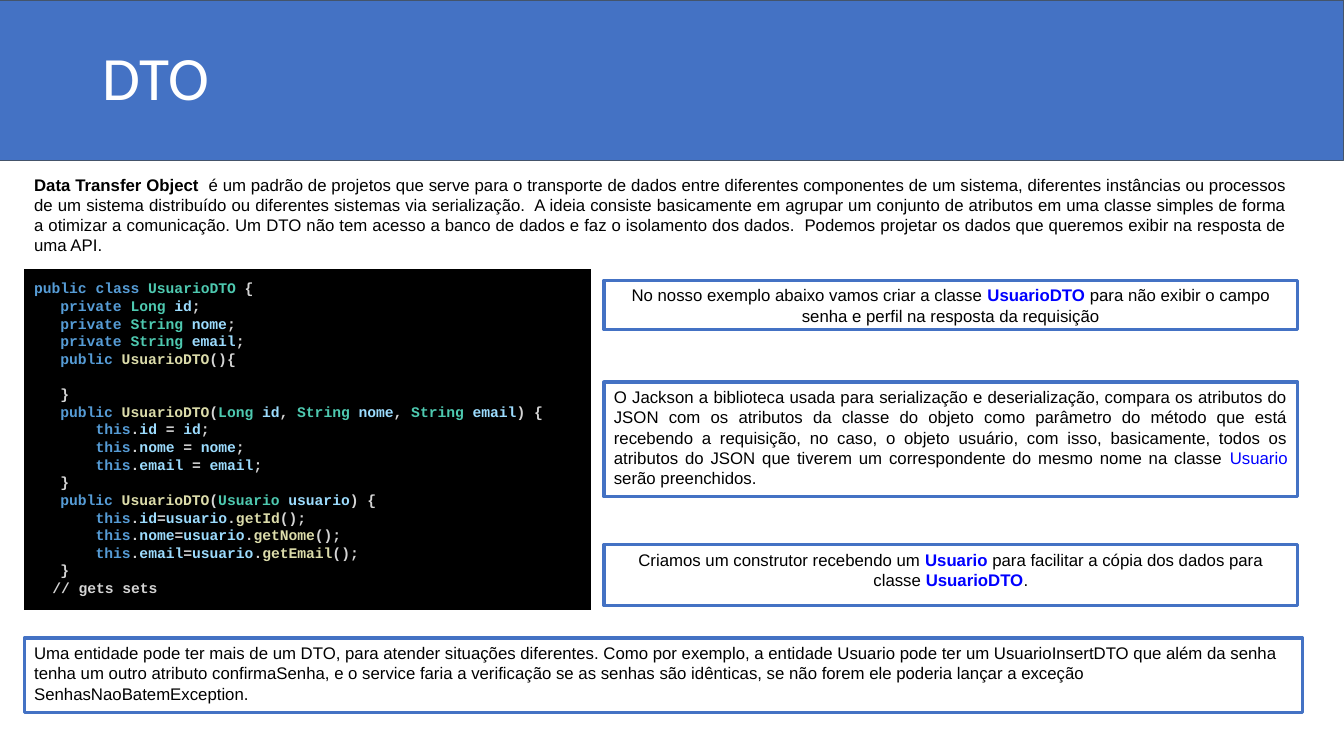
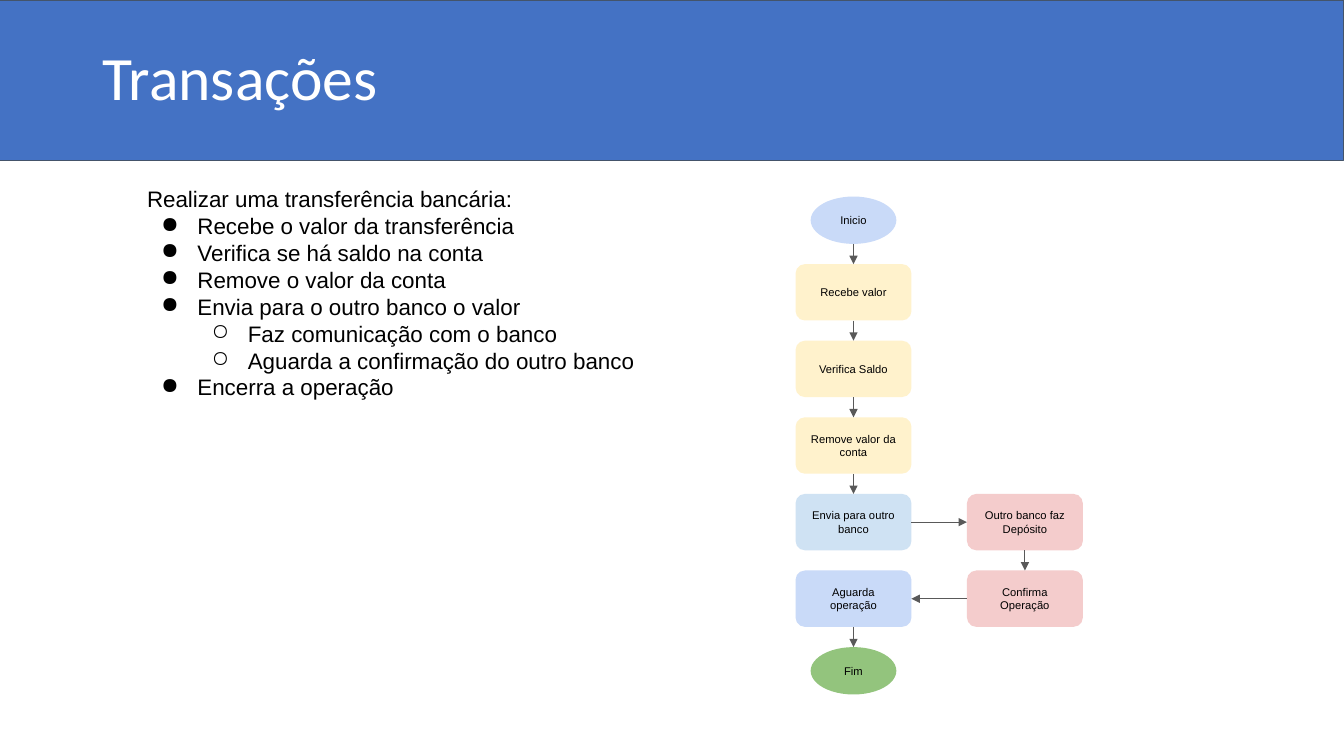
import itertools
from dataclasses import dataclass
from typing import Any

import lxml.etree
import pptx
import pptx.dml.color
import pptx.enum.shapes
import pptx.enum.text
import pptx.oxml.ns
import pptx.util

Shape = pptx.enum.shapes.MSO_SHAPE
Align = pptx.enum.text.PP_ALIGN
Anchor = pptx.enum.text.MSO_ANCHOR

EMU_PER_PX = 9144  # 100 px to the inch
COLORS = {
    "white": "FFFFFF", "black": "000000", "blue": "4472C4", "band edge": "44546A",
    "class name": "0000FF", "arrow": "595959",
    "keyword": "569CD6", "type": "4EC9B0", "variable": "9CDCFE",
    "method": "DCDCAA", "plain": "D4D4D4",
    "lilac": "C9DAF8", "cream": "FFF2CC", "sky": "CFE2F3", "rose": "F4CCCC", "green": "93C47D",
}
TOP, LEFT, BOTTOM, RIGHT = range(4)


@dataclass
class Run:
    text: str
    color: str = "black"
    bold: bool = False


@dataclass
class Paragraph:
    runs: list[Run]
    align: Any = Align.LEFT
    indent: int = 0
    bullet: str = ""
    level: int = 0
    before: float = 0
    spacing: float = 1.0


@dataclass
class Box:
    at: tuple[int, int, int, int]
    paragraphs: list[Paragraph]
    size: float = 12
    font: str = "Arial"
    fill: str = ""
    line: str = ""
    line_width: float = 2.25
    kind: Any = Shape.RECTANGLE
    anchor: Any = Anchor.TOP
    margin: int = 5


@dataclass
class Step:
    text: str
    color: str
    top: int
    column: int = 0
    terminal: bool = False


# Shared helpers
def px(length: float) -> int:
    return round(length * EMU_PER_PX)


def rgb(name: str) -> pptx.dml.color.RGBColor:
    return pptx.dml.color.RGBColor.from_string(COLORS[name])


def assign(target: Any, values: dict[str, Any]) -> None:
    for name, value in values.items():
        setattr(target, name, value)


def add_child(parent: Any, tag: str, **attributes: str) -> Any:
    return lxml.etree.SubElement(parent, pptx.oxml.ns.qn(tag), attributes)


def write_paragraph(target: Any, content: Paragraph, box: Box) -> None:
    assign(target, {"alignment": content.align, "level": content.level,
                    "line_spacing": content.spacing,
                    "space_before": pptx.util.Pt(content.before)})
    properties = target._p.get_or_add_pPr()
    properties.set("marL", str(px(content.indent)))
    if content.bullet:
        properties.set("indent", str(px(-36)))
        add_child(add_child(properties, "a:buClr"), "a:srgbClr", val=COLORS["black"])
        add_child(properties, "a:buChar", char=content.bullet)
    for piece in content.runs:
        run = target.add_run()
        run.text = piece.text
        assign(run.font, {"size": pptx.util.Pt(box.size), "name": box.font, "bold": piece.bold})
        run.font.color.rgb = rgb(piece.color)


def draw_box(slide: Any, box: Box) -> Any:
    place = [px(length) for length in box.at]
    if box.fill:
        shape = slide.shapes.add_shape(box.kind, *place)
        shape.shadow.inherit = False
        shape.fill.solid()
        shape.fill.fore_color.rgb = rgb(box.fill)
        if box.line:
            shape.line.color.rgb = rgb(box.line)
            shape.line.width = pptx.util.Pt(box.line_width)
        else:
            shape.line.fill.background()
    else:
        shape = slide.shapes.add_textbox(*place)
    frame = shape.text_frame
    assign(frame, {"word_wrap": True, "vertical_anchor": box.anchor,
                   "margin_left": px(10), "margin_right": px(10),
                   "margin_top": px(box.margin), "margin_bottom": px(box.margin)})
    for index, content in enumerate(box.paragraphs):
        target = frame.add_paragraph() if index else frame.paragraphs[0]
        write_paragraph(target, content, box)
    return shape


def add_titled_slide(deck: Any, title: str) -> Any:
    slide = deck.slides.add_slide(deck.slide_layouts[6])
    draw_box(slide, Box((0, 0, 1333, 159), [], fill="blue", line="band edge", line_width=0.75))
    heading = Paragraph([Run(title, "white")], spacing=0.9)
    draw_box(slide, Box((92, 7, 1150, 145), [heading], 44, "Calibri", anchor=Anchor.MIDDLE))
    return slide


# Code listing
CODE = """\
public class UsuarioDTO {
   private Long id;
   private String nome;
   private String email;
   public UsuarioDTO(){

   }
   public UsuarioDTO(Long id, String nome, String email) {
       this.id = id;
       this.nome = nome;
       this.email = email;
   }
   public UsuarioDTO(Usuario usuario) {
       this.id=usuario.getId();
       this.nome=usuario.getNome();
       this.email=usuario.getEmail();
   }
  // gets sets"""
KEYWORDS = {"public", "private", "class", "this"}
CODE_SIZE = 10.5
CODE_CHAR_WIDTH = 8.75
CODE_LINE_HEIGHT = 12.6


def token_color(token: str, following: str) -> str:
    if not token.isalnum():
        return "plain"
    if token in KEYWORDS:
        return "keyword"
    if following.startswith("("):
        return "method"
    return "type" if token[0].isupper() else "variable"


def highlight(line: str) -> list[Run]:
    if line.startswith("//"):
        return [Run(line, "plain", True)]
    tokens = ["".join(group) for _, group in itertools.groupby(line, str.isalnum)]
    return [Run(token, token_color(token, following), True)
            for token, following in zip(tokens, tokens[1:] + [""])]


def code_paragraphs(code: str) -> list[Paragraph]:
    paragraphs, skipped = [], 0.0
    for line in code.splitlines():
        statement = line.lstrip()
        if not statement:
            skipped += CODE_LINE_HEIGHT
            continue
        indent = round((len(line) - len(statement)) * CODE_CHAR_WIDTH)
        paragraphs.append(Paragraph(highlight(statement), indent=indent, before=skipped))
        skipped = 0.0
    return paragraphs


# Slide 1: DTO
def framed(at: tuple[int, int, int, int], align: Any, *runs: Run) -> Box:
    return Box(at, [Paragraph(list(runs), align)], fill="white", line="blue")


def build_dto(deck: Any) -> None:
    slide = add_titled_slide(deck, "DTO")
    definition = Paragraph([
        Run("Data Transfer Object", bold=True),
        Run("  é um padrão de projetos que serve para o transporte de dados entre diferentes "
            "componentes de um sistema, diferentes instâncias ou processos de um sistema "
            "distribuído ou diferentes sistemas via serialização.  A ideia consiste basicamente "
            "em agrupar um conjunto de atributos em uma classe simples de forma a otimizar a "
            "comunicação. Um DTO não tem acesso a banco de dados e faz o isolamento dos dados.  "
            "Podemos projetar os dados que queremos exibir na resposta de uma API."),
    ], Align.JUSTIFY)
    boxes = [
        Box((24, 168, 1263, 86), [definition]),
        Box((24, 267, 562, 338), code_paragraphs(CODE), CODE_SIZE, "Courier New",
            fill="black", margin=10),
        framed((599, 278, 688, 49), Align.CENTER,
               Run("No nosso exemplo abaixo vamos criar a classe "),
               Run("UsuarioDTO", "class name", True),
               Run(" para não exibir o campo senha e perfil na resposta da requisição")),
        framed((599, 379, 688, 114), Align.JUSTIFY,
               Run("O Jackson a biblioteca usada para serialização e deserialização, compara os "
                   "atributos do JSON com os atributos da classe do objeto como parâmetro do "
                   "método que está recebendo a requisição, no caso, o objeto usuário, com isso, "
                   "basicamente, todos os atributos do JSON que tiverem um correspondente do "
                   "mesmo nome na classe "),
               Run("Usuario", "class name"),
               Run(" serão preenchidos.")),
        framed((599, 540, 688, 61), Align.CENTER,
               Run("Criamos um construtor recebendo um "),
               Run("Usuario", "class name", True),
               Run(" para facilitar a cópia dos dados para classe "),
               Run("UsuarioDTO", "class name", True),
               Run(".")),
        framed((24, 633, 1268, 74), Align.LEFT,
               Run("Uma entidade pode ter mais de um DTO, para atender situações diferentes. Como "
                   "por exemplo, a entidade Usuario pode ter um UsuarioInsertDTO que além da senha "
                   "tenha um outro atributo confirmaSenha, e o service faria a verificação se as "
                   "senhas são idênticas, se não forem ele poderia lançar a exceção "
                   "SenhasNaoBatemException.")),
    ]
    for box in boxes:
        draw_box(slide, box)


# Slide 2: Transações
COLUMN_LEFTS = (789, 959)
STEP_WIDTH, STEP_HEIGHT = 115, 56
TERMINAL_WIDTH, TERMINAL_HEIGHT = 85, 47
ROW_TOPS = [262 + 76 * row for row in range(5)]
GAP = 20


def draw_step(slide: Any, step: Step) -> Any:
    width, height = STEP_WIDTH, STEP_HEIGHT
    kind = Shape.ROUNDED_RECTANGLE
    if step.terminal:
        width, height, kind = TERMINAL_WIDTH, TERMINAL_HEIGHT, Shape.OVAL
    left = COLUMN_LEFTS[step.column] + (STEP_WIDTH - width) // 2
    label = Paragraph([Run(step.text)], Align.CENTER)
    return draw_box(slide, Box((left, step.top, width, height), [label], 8, fill=step.color,
                               kind=kind, anchor=Anchor.MIDDLE, margin=10))


def side_point(shape: Any, side: int) -> tuple[int, int]:
    across = {LEFT: 0, RIGHT: shape.width}.get(side, shape.width // 2)
    down = {TOP: 0, BOTTOM: shape.height}.get(side, shape.height // 2)
    return shape.left + across, shape.top + down


def draw_arrow(slide: Any, source: Any, source_side: int, target: Any, target_side: int) -> None:
    arrow = slide.shapes.add_connector(pptx.enum.shapes.MSO_CONNECTOR.STRAIGHT,
                                       *side_point(source, source_side),
                                       *side_point(target, target_side))
    # Ovals number their connection sites differently
    if source.auto_shape_type != Shape.OVAL:
        arrow.begin_connect(source, source_side)
    if target.auto_shape_type != Shape.OVAL:
        arrow.end_connect(target, target_side)
    arrow.line.color.rgb = rgb("arrow")
    arrow.line.width = pptx.util.Pt(0.75)
    add_child(arrow.line._get_or_add_ln(), "a:tailEnd", type="triangle")
    add_child(arrow._element.spPr, "a:effectLst")


def build_transactions(deck: Any) -> None:
    slide = add_titled_slide(deck, "Transações")
    outline = [
        (0, "Recebe o valor da transferência"), (0, "Verifica se há saldo na conta"),
        (0, "Remove o valor da conta"), (0, "Envia para o outro banco o valor"),
        (1, "Faz comunicação com o banco"), (1, "Aguarda a confirmação do outro banco"),
        (0, "Encerra a operação"),
    ]
    items = [Paragraph([Run(text)], indent=50 * (level + 1), bullet="●○"[level], level=level)
             for level, text in outline]
    intro = Paragraph([Run("Realizar uma transferência bancária:")])
    draw_box(slide, Box((136, 174, 611, 346), [intro, *items], 16, margin=10))

    steps = [
        Step("Inicio", "lilac", ROW_TOPS[0] - GAP - TERMINAL_HEIGHT, terminal=True),
        Step("Recebe valor", "cream", ROW_TOPS[0]),
        Step("Verifica Saldo", "cream", ROW_TOPS[1]),
        Step("Remove valor da conta", "cream", ROW_TOPS[2]),
        Step("Envia para outro banco", "sky", ROW_TOPS[3]),
        Step("Outro banco faz Depósito", "rose", ROW_TOPS[3], column=1),
        Step("Confirma Operação", "rose", ROW_TOPS[4], column=1),
        Step("Aguarda operação", "lilac", ROW_TOPS[4]),
        Step("Fim", "green", ROW_TOPS[4] + STEP_HEIGHT + GAP, terminal=True),
    ]
    shapes = [draw_step(slide, step) for step in steps]
    for (step, shape), (following, target) in itertools.pairwise(zip(steps, shapes)):
        sides = {0: (BOTTOM, TOP), 1: (RIGHT, LEFT), -1: (LEFT, RIGHT)}
        source_side, target_side = sides[following.column - step.column]
        draw_arrow(slide, shape, source_side, target, target_side)


def main() -> None:
    deck = pptx.Presentation()
    assign(deck, {"slide_width": px(1333), "slide_height": px(750)})
    build_dto(deck)
    build_transactions(deck)
    deck.save("out.pptx")


if __name__ == "__main__":
    main()
